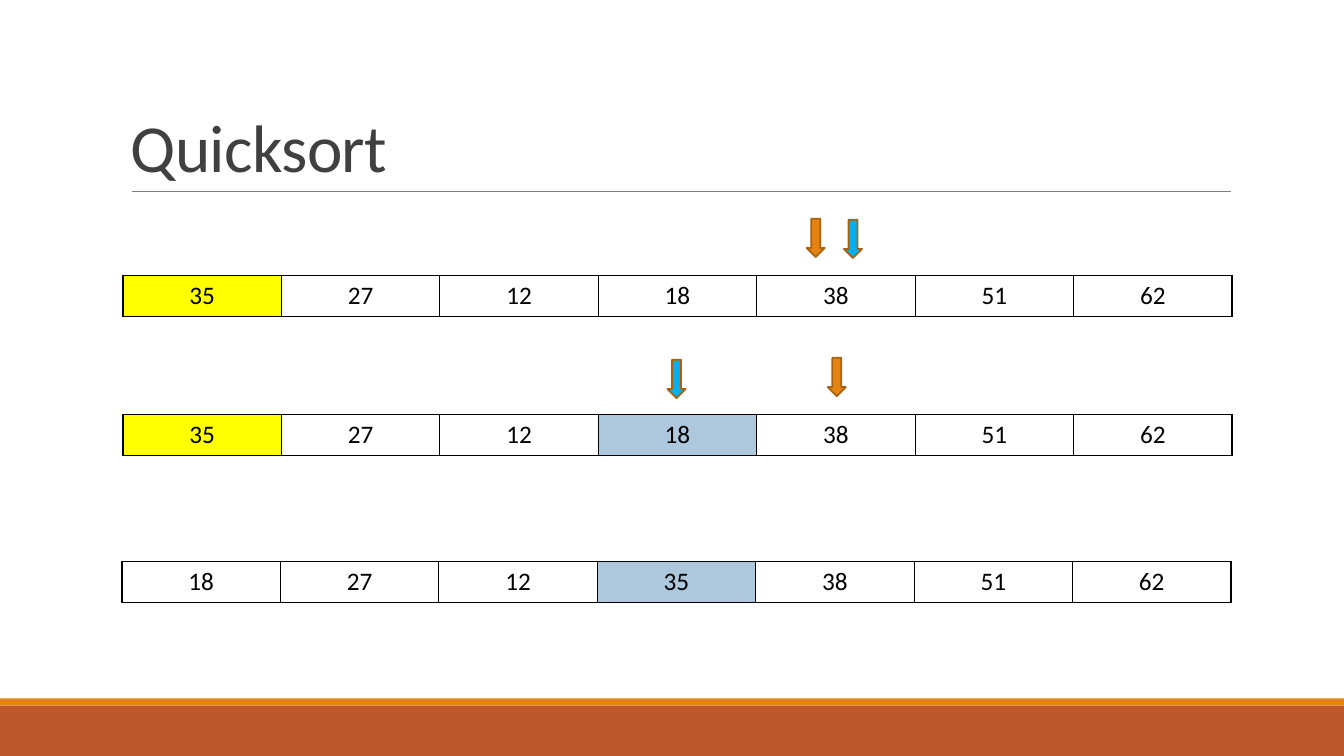
from pptx import Presentation
from pptx.dml.color import RGBColor
from pptx.enum.shapes import MSO_CONNECTOR, MSO_SHAPE
from pptx.enum.text import MSO_ANCHOR, PP_ALIGN
from pptx.oxml.ns import qn
from pptx.util import Inches, Pt
from lxml.etree import SubElement

WHITE = RGBColor(0xFF, 0xFF, 0xFF)
BLACK = RGBColor(0x00, 0x00, 0x00)
INK = RGBColor(0x40, 0x40, 0x40)
GRAY = RGBColor(0x80, 0x80, 0x80)
RUST = RGBColor(0xBD, 0x58, 0x2C)
ORANGE = RGBColor(0xE4, 0x83, 0x12)
BROWN = RGBColor(0xA9, 0x61, 0x0D)
YELLOW = RGBColor(0xFF, 0xFF, 0x00)
BLUE = RGBColor(0x00, 0xB0, 0xF0)
PALE = RGBColor(0xAD, 0xC8, 0xDD)
FONT = "Calibri"

# Left, top, values and marked cells of each sorting step
STEPS = [
    (1.22, 2.73, [35, 27, 12, 18, 38, 51, 62], {0: YELLOW}),
    (1.22, 4.11, [35, 27, 12, 18, 38, 51, 62], {0: YELLOW, 3: PALE}),
    (1.21, 5.57, [18, 27, 12, 35, 38, 51, 62], {3: PALE}),
]
# Left, top and colour of each pointer
ARROWS = [
    (8, 2.17, ORANGE),
    (8.37, 2.18, BLUE),
    (8.21, 3.55, ORANGE),
    (6.62, 3.57, BLUE),
]


def add_block(slide, kind, left, top, width, height, color):
    block = slide.shapes.add_shape(
        kind, Inches(left), Inches(top), Inches(width), Inches(height))
    block.shadow.inherit = False
    block.fill.solid()
    block.fill.fore_color.rgb = color
    block.line.fill.background()
    return block


def add_arrow(slide, left, top, color):
    arrow = add_block(slide, MSO_SHAPE.DOWN_ARROW, left, top, 0.18, 0.38, color)
    arrow.line.color.rgb = BROWN
    arrow.line.width = Pt(1.25)


def add_rule(slide, left, right, top):
    rule = slide.shapes.add_connector(
        MSO_CONNECTOR.STRAIGHT, Inches(left), Inches(top), Inches(right), Inches(top))
    rule.line.color.rgb = GRAY
    rule.line.width = Pt(0.5)
    SubElement(rule._element.spPr, qn("a:effectLst"))


def add_title(slide, text):
    box = slide.shapes.add_textbox(Inches(1.2), Inches(0.31), Inches(11), Inches(1.59))
    frame = box.text_frame
    frame.word_wrap = True
    frame.vertical_anchor = MSO_ANCHOR.BOTTOM
    para = frame.paragraphs[0]
    run = para.add_run()
    run.text = text
    para.line_spacing = 0.85
    para.font.name = FONT
    para.font.size = Pt(48)
    para.font.color.rgb = INK
    run.font._element.set("spc", "-50")


def add_border(cell):
    props = cell._tc.get_or_add_tcPr()
    for side in ("L", "R", "T", "B"):
        line = SubElement(props, qn(f"a:ln{side}"), w=str(Pt(1)))
        fill = SubElement(line, qn("a:solidFill"))
        SubElement(fill, qn("a:srgbClr"), val=str(BLACK))


def add_array(slide, left, top, values, marks):
    table = slide.shapes.add_table(
        1, len(values), Inches(left), Inches(top), Inches(11), Inches(0.41)).table
    table.first_row = False
    table.horz_banding = False
    for index, value in enumerate(values):
        cell = table.cell(0, index)
        cell.text = str(value)
        add_border(cell)
        if index in marks:
            cell.fill.solid()
            cell.fill.fore_color.rgb = marks[index]
        else:
            cell.fill.background()
        para = cell.text_frame.paragraphs[0]
        para.alignment = PP_ALIGN.CENTER
        para.font.name = FONT
        para.font.size = Pt(18)
        para.font.color.rgb = BLACK


def main():
    deck = Presentation()
    deck.slide_width = Inches(13.33)
    deck.slide_height = Inches(7.5)
    slide = deck.slides.add_slide(deck.slide_layouts[6])
    slide.background.fill.solid()
    slide.background.fill.fore_color.rgb = WHITE

    # Footer bands
    add_block(slide, MSO_SHAPE.RECTANGLE, 0, 7, 13.33, 0.5, RUST)
    add_block(slide, MSO_SHAPE.RECTANGLE, 0, 6.93, 13.33, 0.07, ORANGE)

    # Heading
    add_rule(slide, 1.31, 12.21, 1.9)
    add_title(slide, "Quicksort")

    # Arrays and pointers
    for step in STEPS:
        add_array(slide, *step)
    for arrow in ARROWS:
        add_arrow(slide, *arrow)

    deck.save("out.pptx")


if __name__ == "__main__":
    main()
